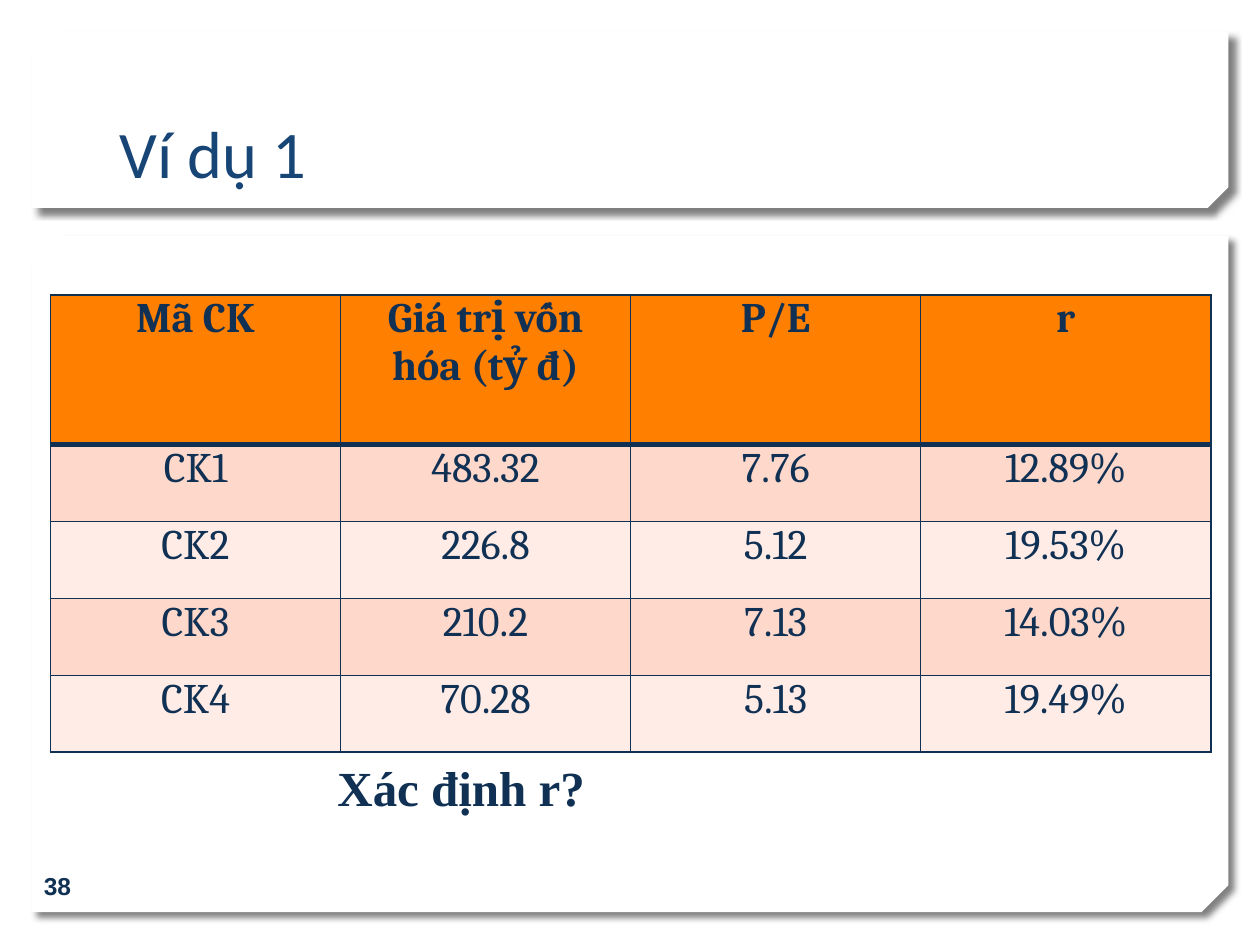
from lxml import etree
from pptx import Presentation
from pptx.dml.color import RGBColor
from pptx.enum import shapes, text
from pptx.oxml import parse_xml
from pptx.oxml.ns import nsdecls, qn
from pptx.util import Inches, Pt

NAVY = RGBColor(0x10, 0x31, 0x54)
TITLE_BLUE = RGBColor(0x17, 0x45, 0x76)
ORANGE = RGBColor(0xFF, 0x7F, 0x01)
PINK = RGBColor(0xFF, 0xD8, 0xCC)
PALE_PINK = RGBColor(0xFF, 0xEC, 0xE7)
WHITE = RGBColor(0xFF, 0xFF, 0xFF)

STOCKS = [
    ("Mã CK", "Giá trị vốn hóa (tỷ đ)", "P/E", "r"),
    ("CK1", "483.32", "7.76", "12.89%"),
    ("CK2", "226.8", "5.12", "19.53%"),
    ("CK3", "210.2", "7.13", "14.03%"),
    ("CK4", "70.28", "5.13", "19.49%"),
]


def write(frame, words, font_name, size, color, bold=False, align=text.PP_ALIGN.LEFT):
    """Fill a text frame with one formatted paragraph."""
    frame.text = words
    paragraph = frame.paragraphs[0]
    paragraph.alignment = align
    font = paragraph.runs[0].font
    font.name, font.size, font.bold = font_name, Pt(size), bold
    font.color.rgb = color


def add_panel(slide, left, top, width, height, snip):
    """Add a white panel with snipped corners and a soft shadow."""
    panel = slide.shapes.add_shape(
        shapes.MSO_SHAPE.SNIP_2_DIAG_RECTANGLE, left, top, width, height)
    panel.adjustments[0], panel.adjustments[1] = 0, snip
    panel.fill.solid()
    panel.fill.fore_color.rgb = WHITE
    panel.line.fill.background()
    panel.shadow.inherit = False
    properties = panel.element.spPr
    properties.find(qn("a:xfrm")).set("flipV", "1")
    properties.find(qn("a:effectLst")).append(parse_xml(
        f'<a:outerShdw {nsdecls("a")} blurRad="{Pt(4)}" dist="{Pt(5)}" dir="2700000" '
        'algn="tl" rotWithShape="0"><a:srgbClr val="000000">'
        '<a:alpha val="50000"/></a:srgbClr></a:outerShdw>'))


def add_title(slide, left, top, width, height):
    """Place the title placeholder in front of the panels."""
    title = slide.shapes.title
    title.left, title.top, title.width, title.height = left, top, width, height
    frame = title.text_frame
    frame.vertical_anchor = text.MSO_ANCHOR.BOTTOM
    write(frame, "Ví dụ 1", "Calibri", 38, TITLE_BLUE)
    title.element.getparent().append(title.element)


def set_borders(cell, top, bottom):
    """Draw the four borders of a cell with the given top and bottom widths."""
    properties = cell._tc.get_or_add_tcPr()
    for index, (side, width) in enumerate(
            [("lnL", 1), ("lnR", 1), ("lnT", top), ("lnB", bottom)]):
        line = etree.Element(qn(f"a:{side}"), w=str(Pt(width)))
        fill = etree.SubElement(line, qn("a:solidFill"))
        etree.SubElement(fill, qn("a:srgbClr"), val=str(NAVY))
        properties.insert(index, line)


def add_stock_table(slide, left, top, width, header_height, row_height):
    """Add the table of stocks with a tall header and banded rows."""
    height = header_height + row_height * (len(STOCKS) - 1)
    table = slide.shapes.add_table(
        len(STOCKS), len(STOCKS[0]), left, top, width, height).table
    for row_index, values in enumerate(STOCKS):
        header = row_index == 0
        table.rows[row_index].height = header_height if header else row_height
        color = ORANGE if header else (PALE_PINK, PINK)[row_index % 2]
        for column_index, value in enumerate(values):
            cell = table.cell(row_index, column_index)
            cell.margin_left = cell.margin_right = Inches(0.08)
            cell.margin_top = cell.margin_bottom = 0
            cell.fill.solid()
            cell.fill.fore_color.rgb = color
            write(cell.text_frame, value, "Cambria", 24, NAVY, header,
                  text.PP_ALIGN.CENTER)
            set_borders(cell, 3 if row_index == 1 else 1, 3 if header else 1)


def add_label(slide, left, top, width, height, words, font_name, size, wrap=True,
              anchor=text.MSO_ANCHOR.TOP):
    """Add a bold navy text box."""
    frame = slide.shapes.add_textbox(left, top, width, height).text_frame
    frame.word_wrap = wrap
    frame.vertical_anchor = anchor
    write(frame, words, font_name, size, NAVY, True)


def main():
    """Build and save the slide."""
    presentation = Presentation()
    presentation.slide_width, presentation.slide_height = Inches(10), Inches(7.5)
    slide = presentation.slides.add_slide(presentation.slide_layouts[5])
    add_panel(slide, Inches(0.25), Inches(1.87), Inches(9.5), Inches(5.37), 0.04)
    add_panel(slide, Inches(0.25), Inches(0.25), Inches(9.5), Inches(1.4), 0.117)
    add_title(slide, Inches(0.85), Inches(0.32), Inches(8.29), Inches(1.25))
    add_stock_table(slide, Inches(0.4), Inches(2.34), Inches(9.21),
                    Inches(1.19), Inches(0.61))
    add_label(slide, Inches(0.25), Inches(6.83), Inches(2.33), Inches(0.4),
              "38", "Arial", 14, anchor=text.MSO_ANCHOR.MIDDLE)
    add_label(slide, Inches(2.58), Inches(5.96), Inches(2.2), Inches(0.57),
              "Xác định r?", "Times New Roman", 28, wrap=False)
    presentation.save("out.pptx")


if __name__ == "__main__":
    main()
